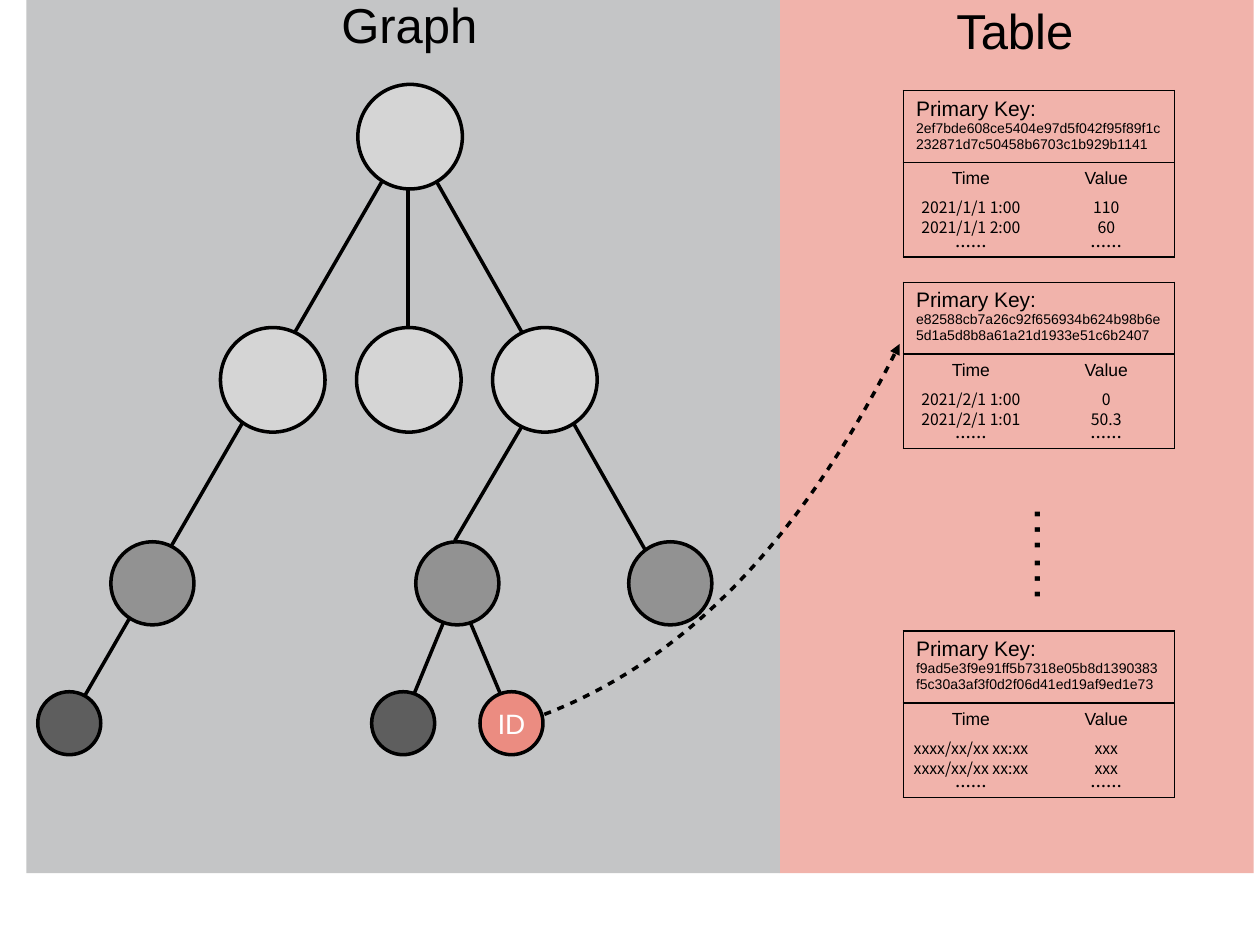
from dataclasses import dataclass

from lxml import etree
from pptx import Presentation
from pptx.dml.color import RGBColor
from pptx.enum.shapes import MSO_CONNECTOR, MSO_SHAPE
from pptx.enum.text import MSO_ANCHOR, MSO_AUTO_SIZE, PP_ALIGN
from pptx.oxml.ns import qn
from pptx.slide import Slide
from pptx.table import _Cell
from pptx.util import Pt

PX = 9144
RECT, OVAL = MSO_SHAPE.RECTANGLE, MSO_SHAPE.OVAL
LINE = MSO_CONNECTOR.STRAIGHT
MID = MSO_ANCHOR.MIDDLE
LEFT, MIDDLE = PP_ALIGN.LEFT, PP_ALIGN.CENTER
FIT = MSO_AUTO_SIZE.SHAPE_TO_FIT_TEXT
SANS, CJK = "Arial", "Noto Sans CJK SC"
COLORS = {
    "black": "000000", "white": "FFFFFF", "pink": "F1B3AB", "gray": "C4C5C6",
    "light": "D5D5D5", "mid": "929292", "dark": "5E5E5E", "coral": "EB8C81",
}
COLS = (107, 108)
ROWS = (57, 29, 16, 16, 14)
DOTS = "……"


@dataclass
class Panel:
    left: int
    width: int
    tone: str


@dataclass
class Level:
    top: int
    size: int
    tone: str
    lefts: tuple[int, ...]


@dataclass
class Label:
    text: str
    left: int
    top: int
    width: int
    turn: int = 0


@dataclass
class Record:
    top: int
    key: str
    rows: tuple[tuple[str, str], ...]


PANELS = (Panel(619, 376, "pink"), Panel(21, 598, "gray"))
EDGES = (
    (57, 570, 324, 108), (324, 259, 324, 109), (526, 461, 326, 108),
    (361, 429, 435, 303), (322, 567, 361, 472), (404, 567, 364, 472),
)
LEVELS = (
    Level(67, 83, "light", (284,)),
    Level(260, 83, "light", (175, 283, 391)),
    Level(430, 66, "mid", (88, 330, 499)),
    Level(549, 50, "dark", (30, 295)),
)
LABELS = (
    Label("Graph", 265, -5, 130),
    Label("Table", 753, 0, 142),
    Label(DOTS, 789, 413, 90, 90),
)
RECORDS = (
    Record(72, "2ef7bde608ce5404e97d5f042f95f89f1c232871d7c50458b6703c1b929b1141",
           (("2021/1/1 1:00", "110"), ("2021/1/1 2:00", "60"))),
    Record(224, "e82588cb7a26c92f656934b624b98b6e5d1a5d8b8a61a21d1933e51c6b2407",
           (("2021/2/1 1:00", "0"), ("2021/2/1 1:01", "50.3"))),
    Record(501, "f9ad5e3f9e91ff5b7318e05b8d1390383f5c30a3af3f0d2f06d41ed19af9ed1e73",
           (("xxxx/xx/xx xx:xx", "xxx"),) * 2),
)


def tint(name: str) -> RGBColor:
    return RGBColor.from_string(COLORS[name])


def style(para, size: int, face: str = SANS, tone: str = "black",
          align=LEFT, bold: bool = False) -> None:
    para.alignment = align
    font = para.font
    font.size, font.name, font.bold = Pt(size), face, bold
    font.color.rgb = tint(tone)


def ink(line) -> None:
    line.color.rgb = tint("black")
    line.width = Pt(2)


def pad(frame) -> None:
    frame.margin_left = frame.margin_right = 6 * PX
    frame.margin_top = frame.margin_bottom = 6 * PX
    frame.vertical_anchor = MID


def draw_shape(slide: Slide, kind, box: tuple[int, ...], tone: str):
    shape = slide.shapes.add_shape(kind, *(n * PX for n in box))
    shape.shadow.inherit = False
    shape.fill.solid()
    shape.fill.fore_color.rgb = tint(tone)
    if kind == OVAL:
        ink(shape.line)
    else:
        shape.line.fill.background()
    return shape


def draw_edge(slide: Slide, ends: tuple[int, ...]) -> None:
    edge = slide.shapes.add_connector(LINE, *(n * PX for n in ends))
    ink(edge.line)
    etree.SubElement(edge._element.spPr, qn("a:effectLst"))


def draw_link(slide: Slide) -> None:
    pen = slide.shapes.build_freeform(432, 567, scale=PX)
    pen.add_line_segments([(544, 524), (638, 426), (714, 273)], close=False)
    link = pen.convert_to_shape()
    link.shadow.inherit = False
    link.fill.background()
    ink(link.line)
    track = next(link._element.iter(qn("a:path")))
    curve = etree.SubElement(track, qn("a:cubicBezTo"))
    for step in track.findall(qn("a:lnTo")):
        curve.append(step[0])
        track.remove(step)
    line = link.line._get_or_add_ln()
    dash = etree.SubElement(line, qn("a:custDash"))
    etree.SubElement(dash, qn("a:ds"), d="200000", sp="200000")
    etree.SubElement(line, qn("a:tailEnd"), type="triangle")


def draw_label(slide: Slide, label: Label) -> None:
    box = slide.shapes.add_textbox(
        label.left * PX, label.top * PX, label.width * PX, 54 * PX)
    box.rotation = label.turn
    frame = box.text_frame
    pad(frame)
    frame.word_wrap, frame.auto_size = False, FIT
    para = frame.paragraphs[0]
    para.text, para.line_spacing = label.text, 0.9
    style(para, 28)


def rule_cell(cell: _Cell, sides: str) -> None:
    cell.fill.background()
    props = cell._tc.get_or_add_tcPr()
    for spot, side in enumerate("LRTB"):
        line = etree.Element(qn(f"a:ln{side}"), w=str(Pt(1)))
        if side in sides:
            fill = etree.SubElement(line, qn("a:solidFill"))
            etree.SubElement(fill, qn("a:srgbClr"), val=COLORS["black"])
        else:
            etree.SubElement(line, qn("a:noFill"))
        props.insert(spot, line)


def draw_record(slide: Slide, record: Record) -> None:
    table = slide.shapes.add_table(
        len(ROWS), len(COLS), 717 * PX, record.top * PX,
        sum(COLS) * PX, sum(ROWS) * PX).table
    table.first_row = table.horz_banding = False
    for col, width in zip(table.columns, COLS):
        col.width = width * PX
    for row, height in zip(table.rows, ROWS):
        row.height = height * PX

    head = table.cell(0, 0)
    head.merge(table.cell(0, 1))
    head.text = f"Primary Key:\n{record.key}"
    for para, size in zip(head.text_frame.paragraphs, (12, 8)):
        style(para, size)
    for cell in (head, table.cell(0, 1)):
        rule_cell(cell, "LRTB")

    body = (("Time", "Value"), *record.rows, (DOTS, DOTS))
    for y, texts in enumerate(body, 1):
        last = y == len(body)
        for x, text in enumerate(texts):
            cell = table.cell(y, x)
            cell.text = text
            para = cell.text_frame.paragraphs[0]
            if y == 1:
                style(para, 10, align=MIDDLE)
            else:
                style(para, 9, CJK, align=MIDDLE, bold=last)
                para.line_spacing = Pt(9 if last else 10)
                cell.vertical_anchor = MID
                cell.margin_left = cell.margin_right = cell.margin_top = PX
                cell.margin_bottom = 0
            rule_cell(cell, "LR"[x] + ("T" if y == 1 else "") + ("B" if last else ""))


def main() -> None:
    deck = Presentation()
    deck.slide_width, deck.slide_height = 1000 * PX, 750 * PX
    slide = deck.slides.add_slide(deck.slide_layouts[6])
    for panel in PANELS:
        draw_shape(slide, RECT, (panel.left, -5, panel.width, 698), panel.tone)
    for ends in EDGES:
        draw_edge(slide, ends)
    for level in LEVELS:
        for left in level.lefts:
            draw_shape(slide, OVAL, (left, level.top, level.size, level.size), level.tone)
    node = draw_shape(slide, OVAL, (381, 549, 50, 50), "coral")
    pad(node.text_frame)
    para = node.text_frame.paragraphs[0]
    para.text = "ID"
    style(para, 16, tone="white", align=MIDDLE)
    draw_link(slide)
    for record in RECORDS:
        draw_record(slide, record)
    for label in LABELS:
        draw_label(slide, label)
    deck.save("out.pptx")


if __name__ == "__main__":
    main()
